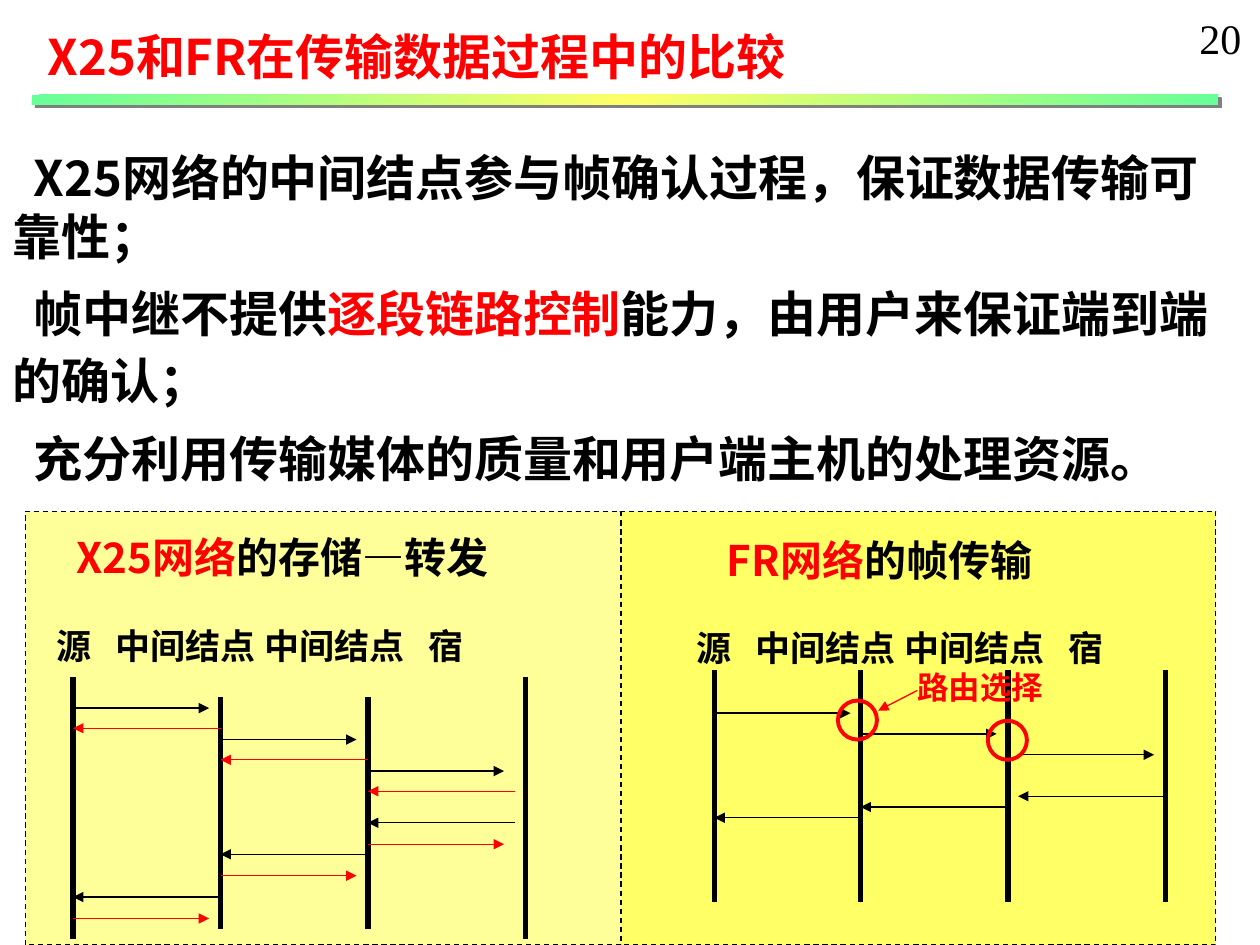
"""Build the slide comparing X25 and FR data transfer."""
from dataclasses import dataclass

import lxml.etree
import pptx
import pptx.dml.color
import pptx.enum.dml
import pptx.enum.shapes
import pptx.oxml
import pptx.oxml.ns
import pptx.util

Inches = pptx.util.Inches
Pt = pptx.util.Pt
Shapes = pptx.enum.shapes.MSO_SHAPE
qn = pptx.oxml.ns.qn

SANS, SERIF = "Noto Sans CJK SC", "Times New Roman"
BLACK, RED = "000000", "FF0000"
HOP, ARROW = 1.17, 1.08
NAMESPACE = 'xmlns:a="http://schemas.openxmlformats.org/drawingml/2006/main"'
BAR_GRADIENT = f"""<a:gradFill {NAMESPACE} rotWithShape="1"><a:gsLst>
<a:gs pos="0"><a:srgbClr val="66FF99"/></a:gs>
<a:gs pos="50000"><a:srgbClr val="FFFF66"/></a:gs>
<a:gs pos="100000"><a:srgbClr val="66FF99"/></a:gs>
</a:gsLst><a:lin ang="2700000" scaled="1"/></a:gradFill>"""
BAR_SHADOW = f"""<a:effectLst {NAMESPACE}>
<a:outerShdw dist="35921" dir="2700000" algn="ctr" rotWithShape="0">
<a:srgbClr val="808080"/></a:outerShdw></a:effectLst>"""


@dataclass
class Span:
    text: str
    color: str = BLACK


@dataclass
class Line:
    spans: list[Span]
    size: float
    spacing: float = 1.2
    before: float = 0
    indent: float = 0
    tabs: tuple[float, ...] = ()
    font: str = SANS
    bold: bool = True


@dataclass
class Panel:
    left: float
    fill: str
    text_left: float
    text_top: float
    heading: list[Span]
    heading_indent: float
    lanes: list[tuple[float, float, float]]


@dataclass
class Message:
    left: float
    y: float
    forward: bool
    color: str = BLACK


def rgb(color: str):
    return pptx.dml.color.RGBColor.from_string(color)


def add_text(page, left: float, top: float, width: float, height: float,
             lines: list[Line], wrap: bool = True) -> None:
    box = page.shapes.add_textbox(Inches(left), Inches(top), Inches(width), Inches(height))
    frame = box.text_frame
    frame.word_wrap = wrap
    for number, line in enumerate(lines):
        para = frame.add_paragraph() if number else frame.paragraphs[0]
        para.line_spacing = Pt(round(line.size * line.spacing, 1))
        if line.before:
            para.space_before = Pt(line.before)
        properties = para._p.get_or_add_pPr()
        if line.indent:
            properties.set("indent", str(Inches(line.indent)))
        if line.tabs:
            stops = lxml.etree.SubElement(properties, qn("a:tabLst"))
            for position in line.tabs:
                lxml.etree.SubElement(stops, qn("a:tab"), pos=str(Inches(position)), algn="l")
        para.font.size = Pt(line.size)
        para.font.bold = line.bold
        para.font.name = line.font
        for span in line.spans:
            run = para.add_run()
            run.text = span.text
            run.font.color.rgb = rgb(span.color)
            east_asian = lxml.etree.SubElement(run._r.get_or_add_rPr(), qn("a:ea"))
            east_asian.set("typeface", SANS)


def add_line(page, start: tuple[float, float], end: tuple[float, float],
             color: str = BLACK, width: float = 0.75, arrow: bool = True) -> None:
    line = page.shapes.add_connector(
        pptx.enum.shapes.MSO_CONNECTOR.STRAIGHT,
        Inches(start[0]), Inches(start[1]), Inches(end[0]), Inches(end[1]))
    line.line.color.rgb = rgb(color)
    line.line.width = Pt(width)
    if arrow:
        lxml.etree.SubElement(line.line._get_or_add_ln(), qn("a:tailEnd"), type="triangle")
    lxml.etree.SubElement(line._element.spPr, qn("a:effectLst"))


def add_message(page, message: Message) -> None:
    near = (message.left, message.y)
    if message.forward:
        add_line(page, near, (message.left + ARROW, message.y), message.color)
    else:
        add_line(page, (message.left + HOP, message.y), near, message.color)


def add_panel(page, panel: Panel) -> None:
    back = page.shapes.add_shape(
        Shapes.RECTANGLE, Inches(panel.left), Inches(4.06), Inches(4.73), Inches(3.44))
    back.shadow.inherit = False
    back.fill.solid()
    back.fill.fore_color.rgb = rgb(panel.fill)
    back.line.color.rgb = rgb(BLACK)
    back.line.width = Pt(0.75)
    back.line.dash_style = pptx.enum.dml.MSO_LINE.DASH
    add_text(page, panel.text_left, panel.text_top, 3.95, 1.17, [
        Line(panel.heading, 24, indent=panel.heading_indent),
        Line([Span("源\t中间结点\t中间结点\t宿")], 20, before=24, tabs=(0.47, 1.65, 2.95)),
    ], wrap=False)
    for x, top, bottom in panel.lanes:
        add_line(page, (x, top), (x, bottom), width=3, arrow=False)


def add_route_circle(page, left: float, top: float) -> None:
    circle = page.shapes.add_shape(
        Shapes.OVAL, Inches(left), Inches(top), Inches(0.31), Inches(0.31))
    circle.shadow.inherit = False
    circle.fill.background()
    circle.line.color.rgb = rgb(RED)
    circle.line.width = Pt(2.25)


def add_title_bar(page) -> None:
    bar = page.shapes.add_shape(
        Shapes.RECTANGLE, Inches(0.25), Inches(0.75), Inches(9.42), Inches(0.08))
    bar.line.fill.background()
    properties = bar._element.spPr
    properties.find(qn("a:ln")).addprevious(pptx.oxml.parse_xml(BAR_GRADIENT))
    properties.append(pptx.oxml.parse_xml(BAR_SHADOW))


def main() -> None:
    deck = pptx.Presentation()
    deck.slide_width, deck.slide_height = Inches(10), Inches(7.5)
    page = deck.slides.add_slide(deck.slide_layouts[6])

    x25_lanes, fr_lanes = (0.58, 1.75, 2.92, 4.17), (5.67, 6.83, 8, 9.25)
    outer, inner = (5.37, 7.45), (5.53, 7.37)
    add_panel(page, Panel(
        4.92, "FFFF66", 5.43, 4.19, [Span("FR网络", RED), Span("的帧传输")], 0.24,
        [(x, 5.32, 7.16) for x in fr_lanes]))
    add_panel(page, Panel(
        0.2, "FFFF99", 0.35, 4.17, [Span("X25网络", RED), Span("的存储—转发")], 0.16,
        [(x, *span) for x, span in zip(x25_lanes, (outer, inner, inner, outer))]))

    messages = []
    for hop, (x, reply_y) in enumerate(zip(x25_lanes, (7.12, 6.78, 6.53))):
        send_y = 5.62 + 0.25 * hop
        messages += [
            Message(x, send_y, True), Message(x, send_y + 0.16, False, RED),
            Message(x, reply_y, False), Message(x, reply_y + 0.17, True, RED)]
    for hop, x in enumerate((5.67, 6.83, 8.08)):
        messages += [Message(x, 5.66 + 0.165 * hop, True),
                     Message(x, 6.49 - 0.085 * hop, False)]
    for message in messages:
        add_message(page, message)

    add_text(page, 9.42, 0.05, 0.54, 0.5,
             [Line([Span("20")], 24, font=SERIF, bold=False)], wrap=False)
    add_text(page, 0, 1.12, 9.8, 2.83, [
        Line([Span("X25网络的中间结点参与帧确认过程，保证数据传输可靠性；")], 28, indent=0.17),
        Line([Span("帧中继不提供"), Span("逐段链路控制", RED),
              Span("能力，由用户来保证端到端的确认；")], 28, 1.38, 5.6, 0.17),
        Line([Span("充分利用传输媒体的质量和用户端主机的处理资源。")], 28, 1.38, 5.6, 0.17),
    ])
    add_title_bar(page)
    add_text(page, 0.28, 0.16, 6.38, 0.57,
             [Line([Span("X25和FR在传输数据过程中的比较", RED)], 28)])
    add_route_circle(page, 6.65, 5.56)
    add_line(page, (7.28, 5.48), (6.97, 5.64), RED)
    add_text(page, 7.18, 5.25, 1.2, 0.4, [Line([Span("路由选择", RED)], 18, font=SERIF)], wrap=False)
    add_route_circle(page, 7.84, 5.72)
    deck.save("out.pptx")


if __name__ == "__main__":
    main()
